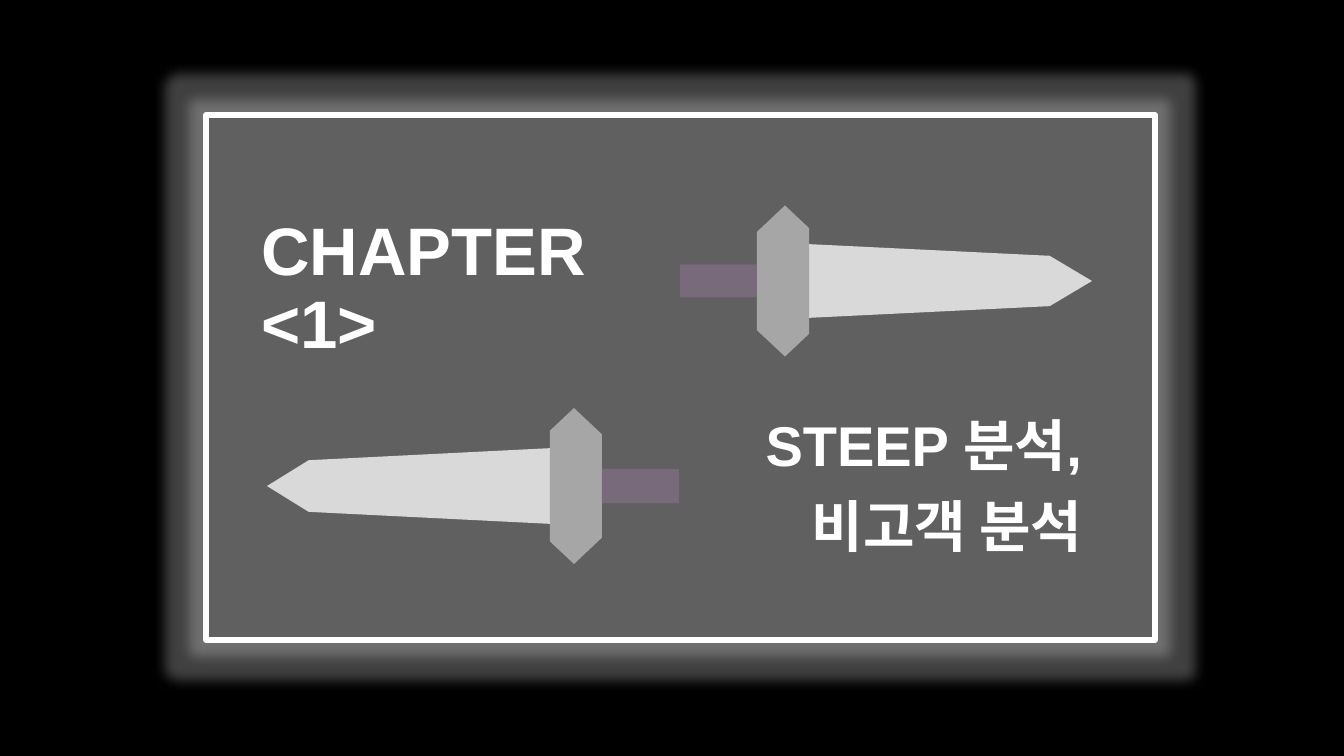
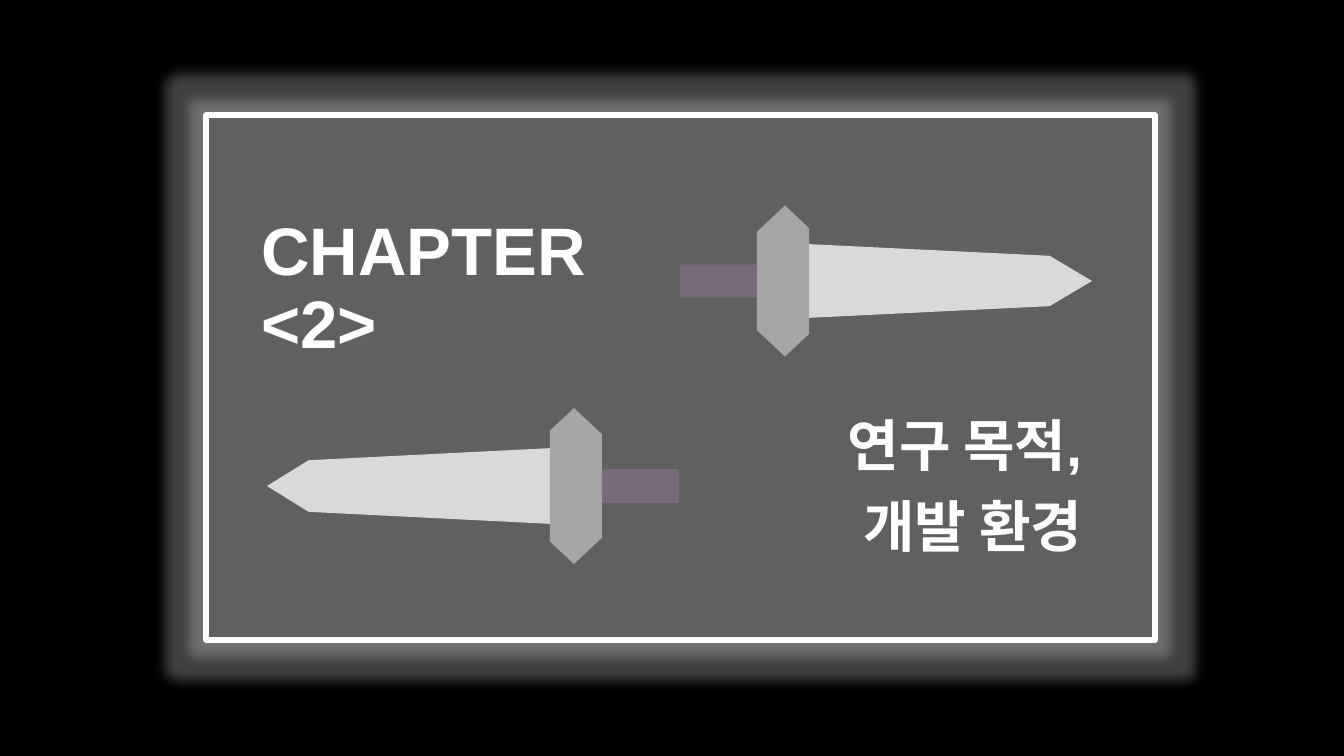
"""Build two chapter slides with a glowing frame and a pair of swords."""
from lxml.etree import SubElement
from pptx import Presentation
from pptx.dml.color import RGBColor
from pptx.enum.shapes import MSO_SHAPE
from pptx.enum.text import MSO_ANCHOR, MSO_AUTO_SIZE, PP_ALIGN
from pptx.oxml.ns import qn
from pptx.util import Pt

CHAPTERS = [
    ("CHAPTER\n<1>", ["STEEP 분석,", "비고객 분석"]),
    ("CHAPTER\n<2>", ["연구 목적,", "개발 환경"]),
]

WIDE, HIGH = 1344, 756
BLACK, WHITE, DARK = "000000", "FFFFFF", "262626"
STEEL, GRIP, BLADE = "A6A6A6", "78697B", "D9D9D9"

FRAME = (206, 115, 949, 525)
TITLE = (251, 193, 381, 175)
TOPIC = (680, 406, 412, 78)
STEP = 81

# Each part: shape, start and end along the sword, breadth, slant, turn, colour
PARTS = [
    (MSO_SHAPE.TRAPEZOID, 77, 105, 151, 0.94, 180, STEEL),
    (MSO_SHAPE.RECTANGLE, 0, 77, 33, None, 0, GRIP),
    (MSO_SHAPE.TRAPEZOID, 126, 370, 74, 0.16, 0, BLADE),
    (MSO_SHAPE.TRAPEZOID, 105, 129, 151, 0.94, 0, STEEL),
    (MSO_SHAPE.ISOSCELES_TRIANGLE, 370, 412, 50, None, 0, BLADE),
]
SWORDS = [(680, 281, 1, 1), (679, 486, -1, 1.03)]

BODY = {"word_wrap": True, "auto_size": MSO_AUTO_SIZE.NONE,
        "vertical_anchor": MSO_ANCHOR.BOTTOM}
FONT = {"name": "Arial", "bold": True}


def px(num):
    return round(num * 914400 / 100.8)


def rgb(code):
    return RGBColor.from_string(code)


def apply(thing, style):
    for key, val in style.items():
        setattr(thing, key, val)


def paint(fill, code):
    fill.solid()
    fill.fore_color.rgb = rgb(code)


def fade(color, part):
    SubElement(color, qn("a:alpha"), val=str(part * 1000))


def draw_frame(slide):
    box = slide.shapes.add_shape(MSO_SHAPE.RECTANGLE, *map(px, FRAME))
    paint(box.fill, DARK)
    paint(box.line.fill, WHITE)
    box.line.width = Pt(4)
    box.shadow.inherit = False
    props = box._element.spPr
    fade(props.find(qn("a:solidFill"))[0], 20)
    SubElement(props.find(qn("a:ln")), qn("a:round"))
    glow = SubElement(props.find(qn("a:effectLst")), qn("a:glow"),
                      rad=str(Pt(18)))
    fade(SubElement(glow, qn("a:srgbClr"), val=WHITE), 25)


def draw_sword(slide, hilt, mid, way, scale):
    group = slide.shapes.add_group_shape().shapes
    for kind, start, end, broad, slant, turn, code in PARTS:
        wide, high = round(broad * scale), end - start
        left = hilt + way * (start + end) / 2 - wide / 2
        part = group.add_shape(kind, px(left), px(mid - high / 2),
                               px(wide), px(high))
        part.rotation = (90 * way + turn) % 360
        if slant:
            part.adjustments[0] = slant
        paint(part.fill, code)
        part.line.fill.background()
        part.shadow.inherit = False


def write(box, text, size, align):
    frame = box.text_frame
    apply(frame, BODY)
    frame.text = text
    for para in frame.paragraphs:
        apply(para, {"alignment": align, "line_spacing": 0.9})
        for run in para.runs:
            apply(run.font, {**FONT, "size": Pt(size)})
            run.font.color.rgb = rgb(WHITE)


def add_page(deck, head, topics):
    slide = deck.slides.add_slide(deck.slide_layouts[5])
    draw_frame(slide)
    for sword in SWORDS:
        draw_sword(slide, *sword)
    left, top, wide, high = TOPIC
    for row, topic in enumerate(topics):
        spot = (left, top + row * STEP, wide, high)
        box = slide.shapes.add_textbox(*map(px, spot))
        write(box, topic, 40, PP_ALIGN.RIGHT)
    title = slide.shapes.title
    apply(title, dict(zip(("left", "top", "width", "height"),
                          map(px, TITLE))))
    write(title, head, 48, PP_ALIGN.LEFT)
    slide.shapes._spTree.append(title._element)


def main():
    deck = Presentation()
    apply(deck, {"slide_width": px(WIDE), "slide_height": px(HIGH)})
    paint(deck.slide_master.background.fill, BLACK)
    for head, topics in CHAPTERS:
        add_page(deck, head, topics)
    deck.save("out.pptx")


if __name__ == "__main__":
    main()
